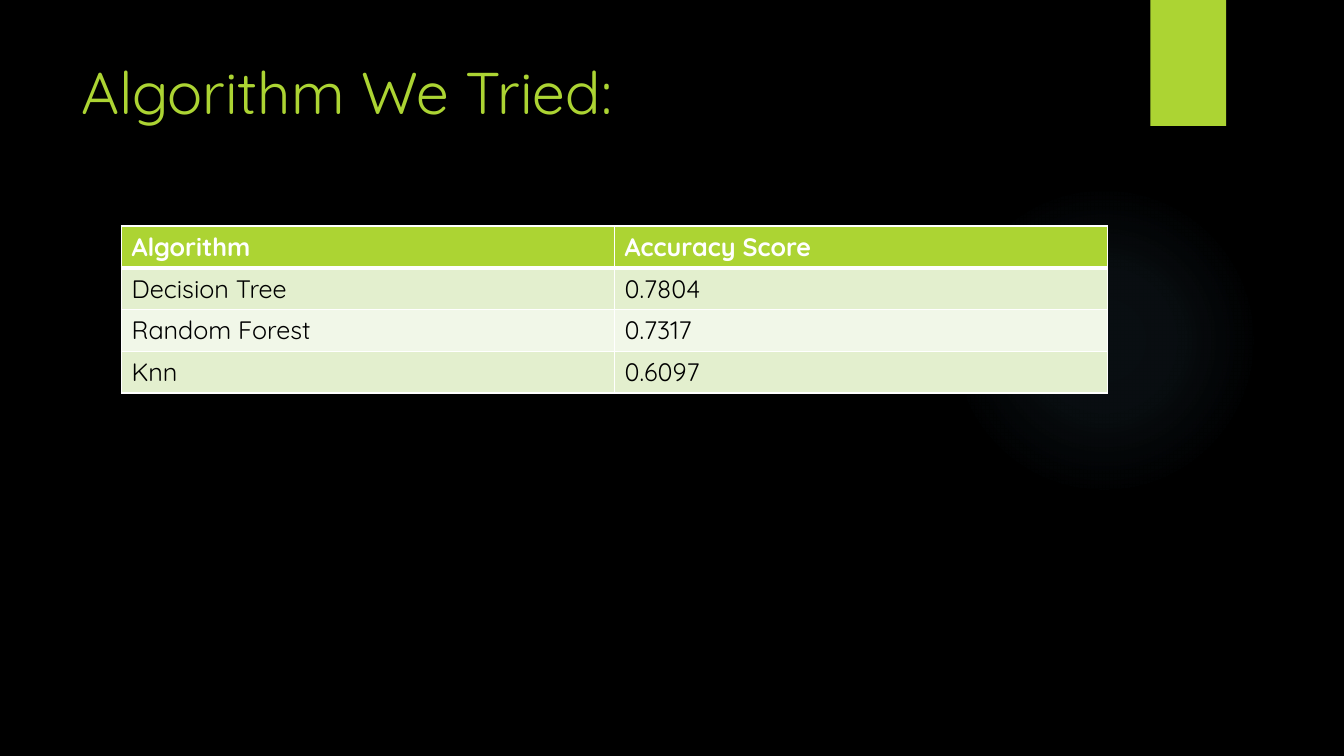
"""Build the slide that lists the accuracy score of each algorithm tried."""
from lxml import etree
from pptx import Presentation
from pptx.dml.color import RGBColor
from pptx.enum.shapes import MSO_SHAPE as SHAPE
from pptx.enum.text import MSO_ANCHOR as ANCHOR, MSO_AUTO_SIZE as AUTO, PP_ALIGN as ALIGN
from pptx.oxml import parse_xml
from pptx.oxml.ns import nsdecls, qn
from pptx.util import Pt

BLACK = RGBColor(0x00, 0x00, 0x00)
WHITE = RGBColor(0xFF, 0xFF, 0xFF)
LIME = RGBColor(0xAC, 0xD4, 0x33)
PALE = RGBColor(0xE3, 0xEF, 0xCE)
PALER = RGBColor(0xF1, 0xF7, 0xE8)
SKY = RGBColor(0x7A, 0xC4, 0xF0)
FONT = "Quicksand"
ROWS = [
    ("Algorithm", "Accuracy Score"),
    ("Decision Tree", "0.7804"),
    ("Random Forest", "0.7317"),
    ("Knn", "0.6097"),
]
GLOW_STOPS = [(0, 7), (36, 6), (69, 0)]


def add_plain(shapes, kind, left, top, width, height):
    sp = shapes.add_shape(kind, Pt(left), Pt(top), Pt(width), Pt(height))
    sp.shadow.inherit = False
    sp.line.fill.background()
    sp.fill.solid()
    return sp


def set_border(cell, side, width):
    ln = etree.SubElement(cell._tc.get_or_add_tcPr(), qn(f"a:ln{side}"), w=str(Pt(width)))
    fill = etree.SubElement(ln, qn("a:solidFill"))
    etree.SubElement(fill, qn("a:srgbClr"), val=str(WHITE))


prs = Presentation()
prs.slide_width, prs.slide_height = Pt(960), Pt(540)
s = prs.slides.add_slide(prs.slide_layouts[5])
s.background.fill.solid()
s.background.fill.fore_color.rgb = BLACK

glow = add_plain(s.shapes, SHAPE.OVAL, 677.5, 131.8, 221.8, 221.8)
stops = "".join(
    f'<a:gs pos="{pos * 1000}"><a:srgbClr val="{SKY}"><a:alpha val="{alpha * 1000}"/></a:srgbClr></a:gs>'
    for pos, alpha in GLOW_STOPS
)
gradient = parse_xml(
    f'<a:gradFill {nsdecls("a")}><a:gsLst>{stops}</a:gsLst><a:path path="circle">'
    '<a:fillToRect l="50000" t="50000" r="50000" b="50000"/></a:path></a:gradFill>'
)
spPr = glow._element.spPr
spPr.replace(spPr.find(qn("a:solidFill")), gradient)

tab = add_plain(s.shapes, SHAPE.RECTANGLE, 821.8, 0, 54, 90)
tab.fill.fore_color.rgb = LIME

title = s.shapes.title
title.left, title.top, title.width, title.height = Pt(51), Pt(36), Pt(741), Pt(110)
tf = title.text_frame
tf.text = "Algorithm We Tried:"
tf.auto_size = AUTO.NONE
tf.vertical_anchor = ANCHOR.TOP
p = tf.paragraphs[0]
p.alignment = ALIGN.LEFT
p.font.name, p.font.size, p.font.color.rgb = FONT, Pt(42), LIME

frame = s.shapes.add_table(len(ROWS), 2, Pt(86.8), Pt(161.5), Pt(704.4), Pt(116.8))
table = frame.table
for i, row in enumerate(ROWS):
    for j, text in enumerate(row):
        cell = table.cell(i, j)
        for side in "LRTB":
            under_header = (i, side) in ((0, "B"), (1, "T"))
            set_border(cell, side, 3 if under_header else 1)
        cell.fill.solid()
        cell.fill.fore_color.rgb = LIME if i == 0 else PALE if i % 2 else PALER
        cell.text = text
        p = cell.text_frame.paragraphs[0]
        p.font.name, p.font.size, p.font.bold = FONT, Pt(18), i == 0
        p.font.color.rgb = WHITE if i == 0 else BLACK

prs.save("out.pptx")
